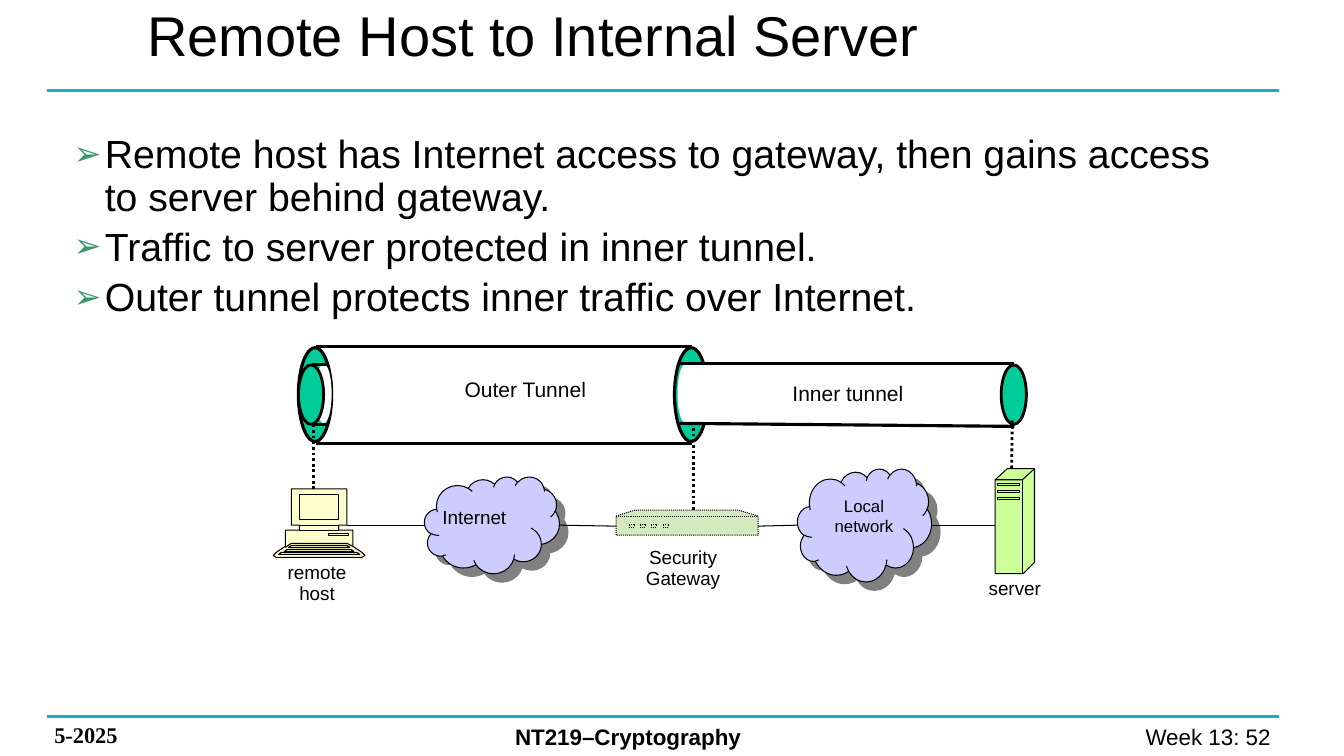
from lxml.etree import SubElement
from pptx import Presentation
from pptx.dml.color import RGBColor
from pptx.enum.dml import MSO_LINE
from pptx.enum.shapes import MSO_CONNECTOR, MSO_SHAPE
from pptx.enum.text import MSO_ANCHOR, MSO_AUTO_SIZE, PP_ALIGN
from pptx.oxml.ns import qn
from pptx.util import Inches, Pt

COLORS = {
    "ink": "000000", "paper": "FFFFFF", "rule": "16AFC2", "bullet": "339966",
    "tunnel": "00CC99", "cloud": "CCCCFF", "shade": "808080",
    "host": "FFFFCC", "gateway": "D4EABE", "server": "CCFF99",
}


def box(left, top, right, bottom):
    """Return the closed corner list of a rectangle."""
    return [(left, top), (right, top), (right, bottom), (left, bottom), (left, top)]


def mirrored(right_side, middle):
    """Return an outline from its right side, reflected about a vertical line."""
    return right_side + [(round(2 * middle - x, 2), y) for x, y in reversed(right_side)]


class SlideBuilder:
    """Holds the slide and its style, and adds each kind of element."""

    def __init__(self, slide, font="Arial"):
        self.slide = slide
        self.shapes = slide.shapes
        self.font = font

    def color(self, name):
        return RGBColor.from_string(COLORS[name])

    def style_runs(self, paragraph, size, bold=False, font=None):
        for run in paragraph.runs:
            run.font.size = Pt(size)
            run.font.bold = bold
            run.font.name = font or self.font
            run.font.color.rgb = self.color("ink")

    def place(self, placeholder, left, top, width, height, anchor):
        placeholder.left, placeholder.top = Inches(left), Inches(top)
        placeholder.width, placeholder.height = Inches(width), Inches(height)
        placeholder.text_frame.auto_size = MSO_AUTO_SIZE.NONE
        placeholder.text_frame.vertical_anchor = anchor

    def title(self, text, *place):
        heading = self.shapes.title
        self.place(heading, *place, MSO_ANCHOR.MIDDLE)
        heading.text_frame.text = text
        paragraph = heading.text_frame.paragraphs[0]
        paragraph.alignment = PP_ALIGN.LEFT
        self.style_runs(paragraph, 40)

    def bullets(self, points, *place):
        body = self.slide.placeholders[1]
        self.place(body, *place, MSO_ANCHOR.TOP)
        body.text_frame.text = "\n".join(points)
        for index, paragraph in enumerate(body.text_frame.paragraphs):
            paragraph.level = 1
            properties = paragraph._p.get_or_add_pPr()
            properties.set("marL", str(Inches(0.81)))
            properties.set("indent", str(Inches(-0.31)))
            tint = SubElement(properties, qn("a:buClr"))
            SubElement(tint, qn("a:srgbClr"), val=COLORS["bullet"])
            SubElement(properties, qn("a:buSzPct"), val="85000")
            SubElement(properties, qn("a:buFont"), typeface=self.font)
            SubElement(properties, qn("a:buChar"), char="➢")
            paragraph.line_spacing = 0.9
            paragraph.space_before = Pt(5.6 if index else 0)
            self.style_runs(paragraph, 28)

    def label(self, text, left, top, width, height, size, align=PP_ALIGN.CENTER,
              spacing=1.0, wrap=True, bold=False, font=None):
        frame = self.shapes.add_textbox(
            Inches(left), Inches(top), Inches(width), Inches(height)).text_frame
        frame.word_wrap = wrap
        frame.text = text
        for index, paragraph in enumerate(frame.paragraphs):
            paragraph.alignment = align
            paragraph.line_spacing = spacing
            paragraph.space_before = Pt(size / 2 if index else 0)
            self.style_runs(paragraph, size, bold, font)

    def finish(self, shape, fill, weight, dash=None):
        shape.shadow.inherit = False
        if fill:
            shape.fill.solid()
            shape.fill.fore_color.rgb = self.color(fill)
        else:
            shape.fill.background()
        if weight:
            shape.line.color.rgb = self.color("ink")
            shape.line.width = Pt(weight)
            shape.line.dash_style = dash
        else:
            shape.line.fill.background()

    def shape(self, kind, left, top, width, height, fill, weight=0):
        shape = self.shapes.add_shape(
            kind, Inches(left), Inches(top), Inches(width), Inches(height))
        self.finish(shape, fill, weight)
        return shape

    def ellipse(self, *place, fill="tunnel", weight=0):
        self.shape(MSO_SHAPE.OVAL, *place, fill, weight)

    def tunnel_body(self, text, *place):
        frame = self.shape(MSO_SHAPE.RECTANGLE, *place, "paper").text_frame
        frame.word_wrap = False
        frame.vertical_anchor = MSO_ANCHOR.MIDDLE
        frame.text = text
        frame.paragraphs[0].alignment = PP_ALIGN.CENTER
        self.style_runs(frame.paragraphs[0], 15)

    def cloud(self, *place):
        cloud = self.shape(MSO_SHAPE.CLOUD, *place, "cloud", 0.75)
        effects = cloud._element.spPr.find(qn("a:effectLst"))
        shadow = SubElement(effects, qn("a:outerShdw"), dist=str(Pt(8.5)),
                            dir="2700000", algn="ctr", rotWithShape="0")
        SubElement(shadow, qn("a:srgbClr"), val=COLORS["shade"])

    def line(self, x1, y1, x2, y2, weight, color="ink", dash=None):
        connector = self.shapes.add_connector(
            MSO_CONNECTOR.STRAIGHT, Inches(x1), Inches(y1), Inches(x2), Inches(y2))
        connector.line.color.rgb = self.color(color)
        connector.line.width = Pt(weight)
        connector.line.dash_style = dash
        SubElement(connector._element.spPr, qn("a:effectLst"))

    def freeform(self, contours, fill=None, dash=None):
        builder = None
        for contour in contours:
            start, *rest = [(Inches(x), Inches(y)) for x, y in contour]
            if builder is None:
                builder = self.shapes.build_freeform(*start)
            else:
                builder.move_to(*start)
            builder.add_line_segments(rest, close=bool(fill))
        self.finish(builder.convert_to_shape(), fill, 0.75, dash)

    def device(self, outline, details, fill, dash=None):
        self.freeform([outline], fill, dash)
        self.freeform(details, dash=dash)


def main():
    """Build the tunnel slide and save it."""
    deck = Presentation()
    deck.slide_width, deck.slide_height = Inches(13.33), Inches(7.5)
    page = SlideBuilder(deck.slides.add_slide(deck.slide_layouts[1]))
    dotted = MSO_LINE.ROUND_DOT

    for rule_y in (0.9, 7.11):
        page.line(0.47, rule_y, 12.69, rule_y, 2.25, "rule")
    page.label("Week 13: 52", 9.82, 7.12, 2.88, 0.37, 16, PP_ALIGN.RIGHT)
    page.label("5-2025", 0.44, 7.11, 1.78, 0.37, 16, PP_ALIGN.LEFT,
               bold=True, font="Times New Roman")
    page.label("NT219–Cryptography", 5.01, 7.12, 4.09, 0.37, 16, PP_ALIGN.LEFT, bold=True)
    page.title("Remote Host to Internal Server", 1.36, 0.01, 8.71, 0.65)
    page.bullets([
        "Remote host has Internet access to gateway, then gains access to server behind gateway.",
        "Traffic to server protected in inner tunnel.",
        "Outer tunnel protects inner traffic over Internet.",
    ], 0.13, 1.29, 12.21, 1.36)

    page.ellipse(2.96, 3.45, 0.33, 0.93, weight=2.25)
    page.cloud(7.91, 4.65, 1.33, 1.12)
    page.label("Local network", 7.99, 4.87, 1.16, 0.5, 12)
    page.label("Outer Tunnel", 3.34, 3.69, 3.74, 0.35, 15)
    page.line(3.11, 4.21, 3.11, 5.22, 2, dash=dotted)

    host_middle = 3.165
    host_side = [(3.44, 4.85), (3.44, 5.21), (3.36, 5.21), (3.36, 5.26), (3.5, 5.26),
                 (3.5, 5.42), (3.59, 5.48), (3.62, 5.51), (3.59, 5.53)]
    key_rows = [mirrored([(x, y), (x + 0.03, y + 0.02)], host_middle)
                for x, y in ((3.44, 5.41), (3.48, 5.45), (3.54, 5.48))]
    page.device(mirrored(host_side, host_middle), [
        *(row + row[:1] for row in key_rows),
        [(3.5, 5.42), (3.44, 5.39), (2.89, 5.39), (2.83, 5.43)],
        box(3.26, 5.29, 3.46, 5.31),
        box(2.97, 4.91, 3.36, 5.15),
        box(2.97, 5.21, 3.36, 5.26),
    ], "host")

    page.label("Security\nGateway", 6.11, 5.46, 1.33, 0.46, 13.5, spacing=0.5)
    page.ellipse(6.69, 3.45, 0.33, 0.93, weight=2.25)
    page.tunnel_body("Inner tunnel", 6.8, 3.61, 3.22, 0.58)
    page.ellipse(6.72, 3.61, 0.16, 0.59, fill="paper")
    page.ellipse(9.93, 3.62, 0.25, 0.59, weight=2)
    page.ellipse(3.13, 3.61, 0.16, 0.59, fill="paper")
    page.ellipse(2.96, 3.62, 0.25, 0.59, weight=2)
    for edge_y in (4.21, 3.62):
        page.line(3.09, edge_y, 3.26, edge_y, 2)
    for edge_y in (4.4, 3.44):
        page.line(3.13, edge_y, 6.86, edge_y, 2.25)
    page.cloud(4.21, 4.73, 1.34, 0.96)
    page.label("Internet", 4.29, 4.97, 0.84, 0.33, 13.5, PP_ALIGN.LEFT, wrap=False)
    page.line(3.44, 5.21, 4.21, 5.21, 0.75)
    page.line(10.06, 4.23, 6.74, 4.2, 2.25)
    page.line(10.06, 3.61, 6.74, 3.61, 2.25)
    page.line(10.04, 4.17, 10.03, 4.93, 2, dash=dotted)
    page.line(6.88, 4.19, 6.88, 5.21, 2, dash=dotted)

    ports = [box(x, 5.2, x + 0.05, 5.23) for x in (6.24, 6.35, 6.46, 6.58)]
    page.device(
        [(6.11, 5.12), (6.3, 5.06), (7.32, 5.06), (7.52, 5.12), (7.52, 5.31), (6.11, 5.31)],
        [[(6.11, 5.12), (7.52, 5.12)], *ports], "gateway", dotted)
    for start_x, start_y, end_x, end_y in (
            (5.54, 5.21, 6.11, 5.22), (7.91, 5.21, 7.52, 5.22), (9.24, 5.21, 9.87, 5.21)):
        page.line(start_x, start_y, end_x, end_y, 0.75)

    drives = [box(9.89, y, 10.11, y + 0.02) for y in (4.8, 4.87, 4.94)]
    page.device(
        [(9.87, 4.76), (9.99, 4.65), (10.26, 4.65), (10.26, 5.58), (10.15, 5.69), (9.87, 5.69)],
        [[(9.87, 4.76), (10.14, 4.76), (10.26, 4.65)],
         [(10.14, 4.76), (10.14, 5.69)], *drives], "server")
    page.label("server", 9.4, 5.77, 1.33, 0.23, 13.5, spacing=0.5)
    page.label("remote\nhost", 2.48, 5.61, 1.33, 0.46, 13.5, spacing=0.5)

    deck.save("out.pptx")


if __name__ == "__main__":
    main()
